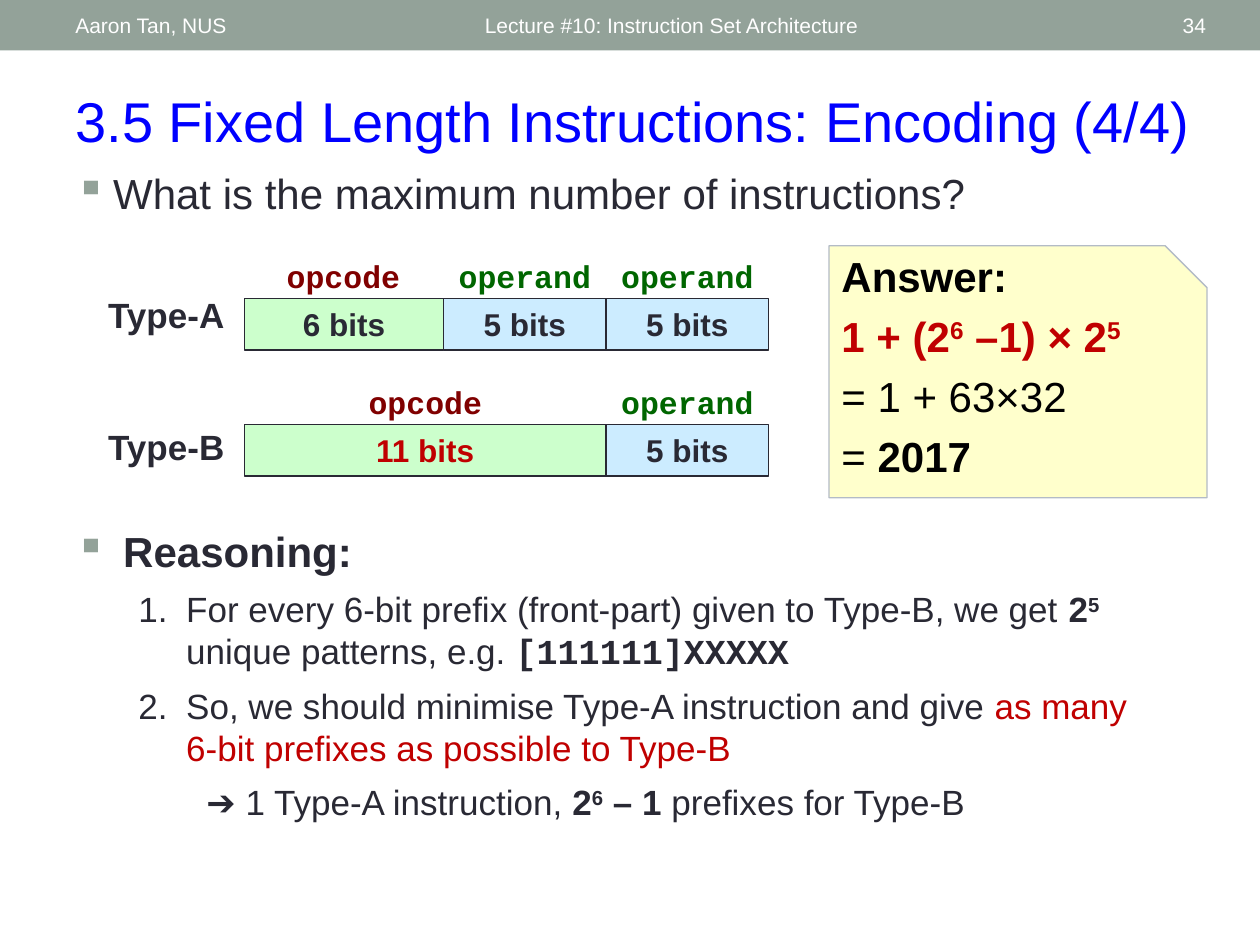
from dataclasses import dataclass
from lxml import etree
from pptx import Presentation
from pptx.dml.color import RGBColor
from pptx.enum.shapes import MSO_SHAPE
from pptx.enum.text import MSO_ANCHOR, PP_ALIGN
from pptx.oxml.ns import qn
from pptx.util import Pt

PX = 9144  # EMU per px, 100 px to the inch
RECT, SNIP = MSO_SHAPE.RECTANGLE, MSO_SHAPE.SNIP_1_RECTANGLE
TOP, MIDDLE = MSO_ANCHOR.TOP, MSO_ANCHOR.MIDDLE
LEFT, CENTER, RIGHT = PP_ALIGN.LEFT, PP_ALIGN.CENTER, PP_ALIGN.RIGHT


@dataclass(frozen=True)
class Theme:
    sans: str = "Arial"
    mono: str = "Courier New"
    bar: str = "93A299"
    white: str = "FFFFFF"
    title: str = "0000FF"
    ink: str = "292934"
    black: str = "000000"
    red: str = "C00000"
    opcode: str = "800000"
    operand: str = "006600"
    green_fill: str = "CCFFCC"
    blue_fill: str = "CCECFF"
    note_fill: str = "FFFFCC"
    note_line: str = "B3BBC6"
    small: int = 12
    cell: int = 18
    item: int = 20
    body: int = 24
    head: int = 32


T = Theme()


def run(text, **style):
    return text, style


def para(*runs, **style):
    return runs, style


class SlideBuilder:
    def __init__(self, slide, theme):
        self.s, self.t = slide, theme

    def shape(self, kind, x, y, w, h, fill, line=None, weight=1):
        sp = self.s.shapes.add_shape(kind, x * PX, y * PX, w * PX, h * PX)
        sp.shadow.inherit = False
        sp.fill.solid()
        sp.fill.fore_color.rgb = RGBColor.from_string(fill)
        if line:
            sp.line.color.rgb = RGBColor.from_string(line)
            sp.line.width = Pt(weight)
        else:
            sp.line.fill.background()
        return sp

    def text(self, x, y, w, h, paras, anchor=TOP, inset=None, **style):
        sp = self.s.shapes.add_textbox(x * PX, y * PX, w * PX, h * PX)
        self.fill_text(sp, paras, anchor, inset, **style)

    def fill_text(self, sp, paras, anchor=TOP, inset=None, **style):
        tf = sp.text_frame
        tf.word_wrap = True
        tf.vertical_anchor = anchor
        if inset is not None:
            tf.margin_left = tf.margin_right = inset * PX
            tf.margin_top = tf.margin_bottom = inset * PX
        for i, (runs, own) in enumerate(paras):
            p = tf.paragraphs[0] if i == 0 else tf.add_paragraph()
            self.paragraph(p, runs, i > 0, **{**style, **own})

    def paragraph(self, p, runs, spaced, align=LEFT, before=0, indent=(0, 0),
                  bullet=None, number=False, **font):
        p.alignment = align
        if spaced:
            p.space_before = Pt(before)
        pPr = p._p.get_or_add_pPr()
        pPr.set("marL", str(indent[0] * PX))
        pPr.set("indent", str(indent[1] * PX))
        if bullet:
            color = etree.SubElement(pPr, qn("a:buClr"))
            etree.SubElement(color, qn("a:srgbClr"), val=self.t.bar)
            etree.SubElement(pPr, qn("a:buChar"), char=bullet)
        elif number:
            etree.SubElement(pPr, qn("a:buAutoNum"), type="arabicPeriod")
        for text, own in runs:
            self.run(p, text, **{**font, **own})

    def run(self, p, text, size, color=T.ink, face=T.sans, bold=False, sup=False):
        r = p.add_run()
        r.text = text
        r.font.name, r.font.size, r.font.bold = face, Pt(size), bold
        r.font.color.rgb = RGBColor.from_string(color)
        if sup:
            r._r.get_or_add_rPr().set("baseline", "30000")

    def field(self, x, y, w, name, bits, bits_color=T.ink):
        """One instruction field: a cell with its name centred above."""
        t = self.t
        fill, color = ((t.green_fill, t.opcode) if name == "opcode"
                       else (t.blue_fill, t.operand))
        sp = self.shape(RECT, x, y, w, 41, fill, t.ink)
        self.fill_text(sp, [para(run(bits))], align=CENTER, size=t.cell,
                       bold=True, color=bits_color)
        self.text(x + (w - 121) // 2, y - 34, 121, 32, [para(run(name))], inset=1,
                  align=CENTER, size=t.cell, bold=True, color=color, face=t.mono)


def main():
    prs = Presentation()
    prs.slide_width, prs.slide_height = 1000 * PX, 750 * PX
    b = SlideBuilder(prs.slides.add_slide(prs.slide_layouts[6]), T)

    # Header bar
    b.shape(RECT, 0, 0, 1000, 40, T.bar)
    for x, w, text, align in (
            (50, 317, "Aaron Tan, NUS", LEFT),
            (375, 450, "Lecture #10: Instruction Set Architecture", LEFT),
            (872, 95, "34", RIGHT)):
        b.text(x, 2, w, 36, [para(run(text))], MIDDLE,
               align=align, size=T.small, color=T.white)

    # Title and question
    b.text(50, 64, 917, 64, [para(run("3.5 Fixed Length Instructions: Encoding (4/4)"))],
           size=T.head, color=T.title)
    b.text(50, 128, 900, 92, [para(run("What is the maximum number of instructions?"))],
           size=T.body, bullet="▪", indent=(30, -30))

    # Instruction formats
    edges = (194, 352, 481, 610)
    formats = (
        ("Type-A", 228, 237, ((0, 1, "opcode", "6 bits", T.ink),
                              (1, 2, "operand", "5 bits", T.ink),
                              (2, 3, "operand", "5 bits", T.ink))),
        ("Type-B", 333, 337, ((0, 2, "opcode", "11 bits", T.red),
                              (2, 3, "operand", "5 bits", T.ink))))
    for label, label_y, y, fields in formats:
        b.text(58, label_y, 130, 43, [para(run(label))],
               align=RIGHT, size=T.item, bold=True)
        for start, end, name, bits, color in fields:
            b.field(edges[start], y, edges[end] - edges[start], name, bits, color)

    # Answer note
    note = b.shape(SNIP, 658, 195, 300, 200, T.note_fill, T.note_line, 0.75)
    b.fill_text(note, [
        para(run("Answer:"), bold=True),
        para(run("1 + (2"), run("6", sup=True), run(" –1) × 2"), run("5", sup=True),
             bold=True, color=T.red),
        para(run("= 1 + 63×32")),
        para(run("= "), run("2017", bold=True)),
    ], MIDDLE, size=T.body, color=T.black, before=5.5, indent=(38, -38))
    note.text_frame.margin_bottom = 31 * PX

    # Reasoning
    step = dict(number=True, indent=(88, -38))
    b.text(50, 412, 883, 267, [
        para(run("Reasoning:"), size=T.body, bold=True, bullet="▪", indent=(38, -38)),
        para(run("For every 6-bit prefix (front-part) given to Type-B, we get "),
             run("2", bold=True), run("5", bold=True, sup=True),
             run(" unique patterns, e.g. "),
             run("[111111]XXXXX", bold=True, face=T.mono), **step),
        para(run("So, we should minimise Type-A instruction and give "),
             run("as many 6-bit prefixes as possible to Type-B", color=T.red), **step),
        para(run("➔ 1 Type-A instruction, "), run("2", bold=True),
             run("6", bold=True, sup=True), run(" – 1", bold=True),
             run(" prefixes for Type-B"), indent=(104, 0)),
    ], size=T.item, before=7)

    prs.save("out.pptx")


if __name__ == "__main__":
    main()
